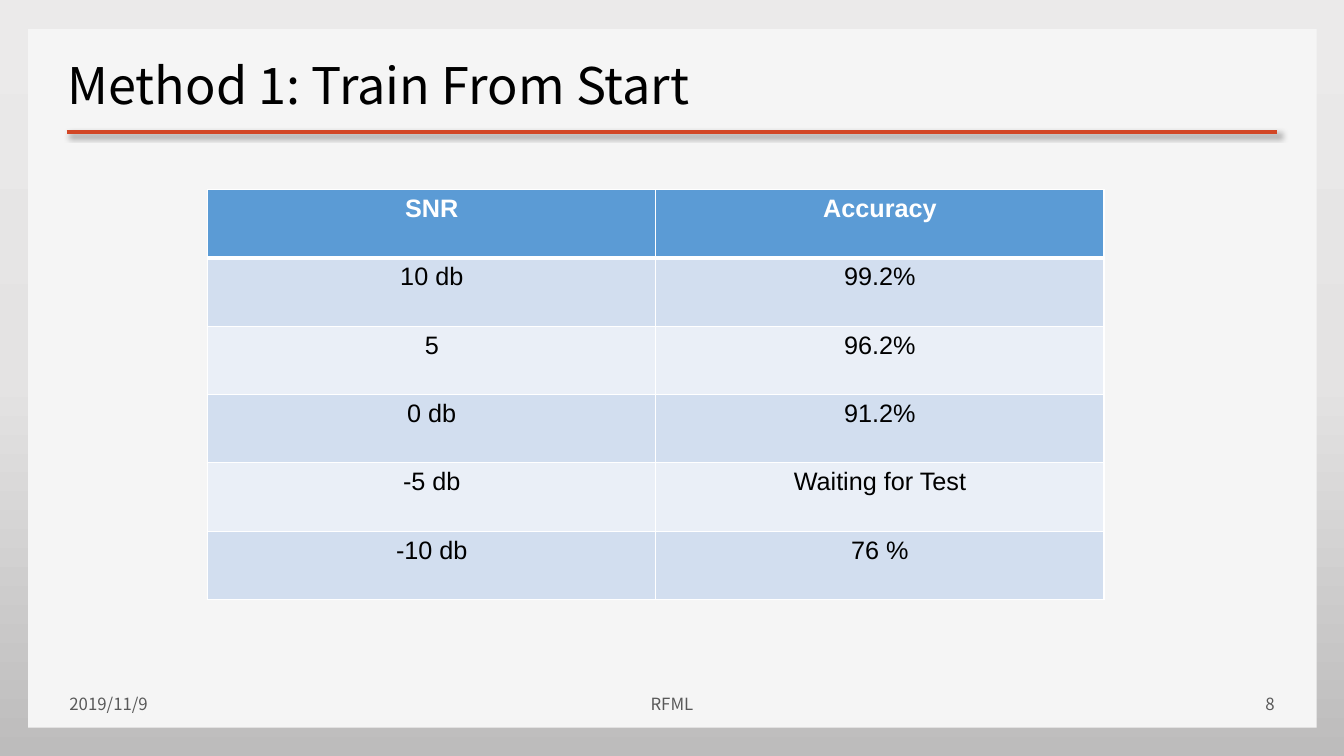
from copy import deepcopy

from lxml import etree
from pptx import Presentation
from pptx import util as u
from pptx.dml.color import RGBColor
from pptx.enum import shapes, text
from pptx.oxml import parse_xml
from pptx.oxml.ns import nsdecls, qn

PX = 9144  # 100 px to the inch
COLORS = {
    "top": "EBEAEA", "middle": "E4E3E3", "bottom": "BDBCBC",
    "panel": "F5F5F5", "accent": "D24726", "black": "000000",
    "footer": "595959", "white": "FFFFFF",
    "header": "5B9BD5", "odd": "D2DEEF", "even": "EAEFF7",
}
RESULTS = [
    ("SNR", "Accuracy"),
    ("10 db", "99.2%"),
    ("5", "96.2%"),
    ("0 db", "91.2%"),
    ("-5 db", "Waiting for Test"),
    ("-10 db", "76 %"),
]
FOOTERS = [
    (59, 358, "2019/11/9", text.PP_ALIGN.LEFT),
    (508, 317, "RFML", text.PP_ALIGN.CENTER),
    (916, 358, "8", text.PP_ALIGN.RIGHT),
]


def px(*lengths):
    return [u.Emu(length * PX) for length in lengths]


def rgb(color):
    return RGBColor.from_string(COLORS[color])


class SlideBuilder:
    """Style and drawing methods for the current slide."""

    font = "Noto Sans CJK SC"
    table_font = "Arial"

    def __init__(self, slide):
        self.slide = slide
        self.shapes = slide.shapes

    def set_text(self, frame, wording, size, color, align, font=None, bold=False):
        frame.text = wording
        paragraph = frame.paragraphs[0]
        paragraph.alignment = align
        run_font = paragraph.runs[0].font
        style = {"name": font or self.font, "size": u.Pt(size), "bold": bold}
        for key, value in style.items():
            setattr(run_font, key, value)
        run_font.color.rgb = rgb(color)

    def background(self, stops):
        fill = self.slide.background.fill
        fill.gradient()
        fill.gradient_angle = 270
        first = self.slide._element.find(".//" + qn("a:gs"))
        first.addnext(deepcopy(first))
        for stop, (position, color) in zip(fill.gradient_stops, stops):
            stop.position = position
            stop.color.rgb = rgb(color)

    def panel(self, *box):
        panel = self.shapes.add_shape(shapes.MSO_SHAPE.RECTANGLE, *px(*box))
        panel.shadow.inherit = False
        panel.fill.solid()
        panel.fill.fore_color.rgb = rgb("panel")
        panel.line.fill.background()

    def rule(self, left, right, y):
        rule = self.shapes.add_connector(
            shapes.MSO_CONNECTOR.STRAIGHT, *px(left, y, right, y))
        rule.line.color.rgb = rgb("accent")
        rule.line.width = u.Pt(3)
        rule._element.spPr.append(parse_xml(
            f'<a:effectLst {nsdecls("a")}>'
            f'<a:outerShdw blurRad="{u.Pt(4)}" dist="{u.Pt(3)}" dir="2700000" '
            f'algn="tl" rotWithShape="0"><a:srgbClr val="{COLORS["black"]}">'
            '<a:alpha val="40000"/></a:srgbClr></a:outerShdw></a:effectLst>'))

    def title(self, wording, *box):
        title = self.shapes.title
        title.left, title.top, title.width, title.height = px(*box)
        self.shapes._spTree.append(title._element)  # in front of the panel
        frame = title.text_frame
        layout = {"vertical_anchor": text.MSO_ANCHOR.BOTTOM,
                  "word_wrap": True, "auto_size": text.MSO_AUTO_SIZE.NONE}
        for key, value in layout.items():
            setattr(frame, key, value)
        self.set_text(frame, wording, 36, "black", text.PP_ALIGN.LEFT)

    def footer(self, left, width, wording, align):
        frame = self.shapes.add_textbox(*px(left, 678, width, 40)).text_frame
        frame.word_wrap = True
        frame.vertical_anchor = text.MSO_ANCHOR.MIDDLE
        self.set_text(frame, wording, 12, "footer", align)

    def border(self, cell, side, points):
        line = etree.SubElement(cell._tc.get_or_add_tcPr(),
                                qn(f"a:ln{side}"), w=str(u.Pt(points)))
        fill = etree.SubElement(line, qn("a:solidFill"))
        etree.SubElement(fill, qn("a:srgbClr"), val=COLORS["white"])

    def table(self, rows, *box):
        """Table with a header row and banded rows below it."""
        table = self.shapes.add_table(len(rows), len(rows[0]), *px(*box)).table
        for r, row in enumerate(rows):
            band = "header" if r == 0 else "odd" if r % 2 else "even"
            for c, wording in enumerate(row):
                cell = table.cell(r, c)
                for side in "LRTB":
                    thick = (r, side) in ((0, "B"), (1, "T"))
                    self.border(cell, side, 3 if thick else 1)
                cell.fill.solid()
                cell.fill.fore_color.rgb = rgb(band)
                self.set_text(cell.text_frame, wording, 18,
                              "black" if r else "white", text.PP_ALIGN.CENTER,
                              self.table_font, bold=r == 0)


def main():
    deck = Presentation()
    deck.slide_width, deck.slide_height = px(1333, 750)
    title_only = deck.slide_layouts[5]
    builder = SlideBuilder(deck.slides.add_slide(title_only))
    builder.background([(0, "top"), (0.5, "middle"), (1, "bottom")])
    builder.panel(28, 29, 1278, 693)
    builder.rule(66, 1267, 131)
    builder.title("Method 1: Train From Start", 57, 49, 752, 70)
    for footer in FOOTERS:
        builder.footer(*footer)
    builder.table(RESULTS, 206, 188, 889, 407)
    deck.save("out.pptx")


if __name__ == "__main__":
    main()
